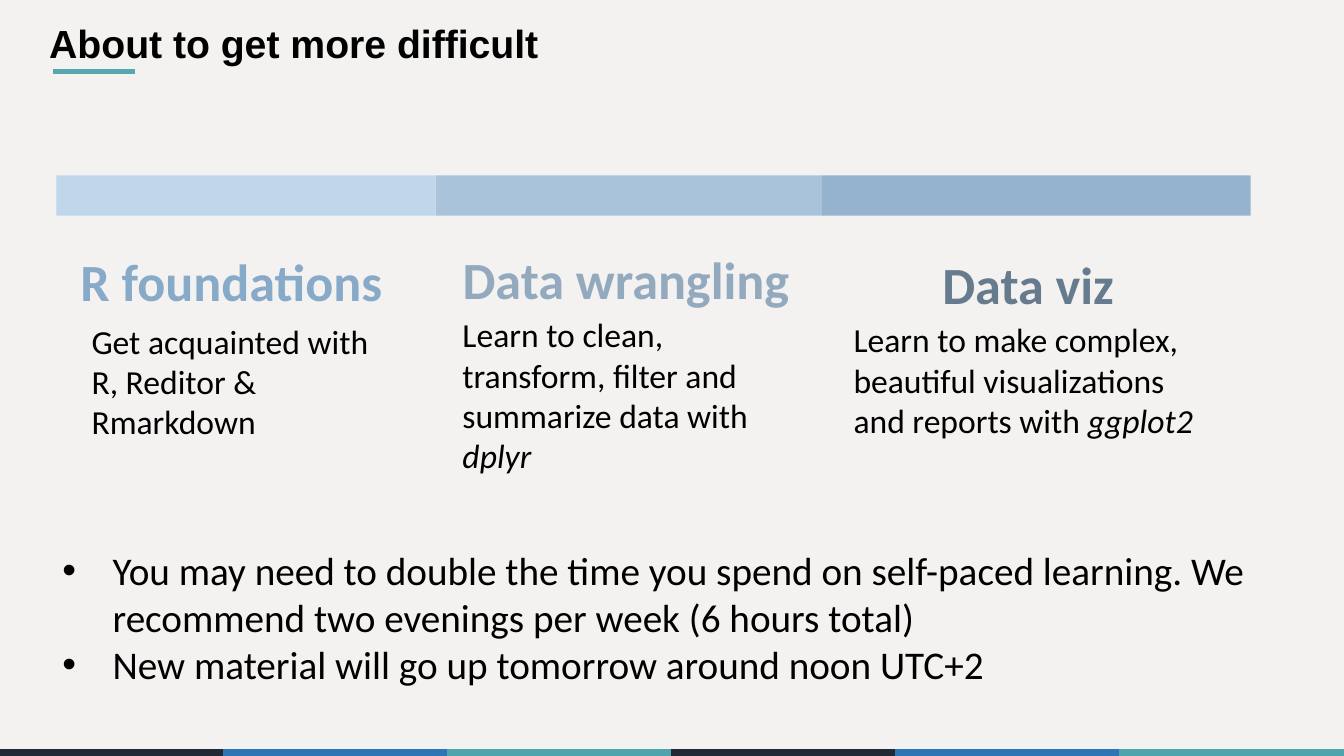
from lxml.etree import SubElement
from pptx import Presentation
from pptx.dml.color import RGBColor
from pptx.enum.shapes import MSO_CONNECTOR, MSO_SHAPE
from pptx.enum.text import MSO_AUTO_SIZE
from pptx.oxml.ns import qn
from pptx.util import Pt

BLACK = "000000"
BODY = {"name": "Calibri", "size": Pt(24)}
HEADING = {"name": "Calibri", "size": Pt(37.3), "bold": True}
TITLE = {"name": "Arial", "size": Pt(28), "bold": True}
ADVICE = {"name": "Calibri", "size": Pt(28)}

FOOTER_COLOURS = ["202934", "2E75B6", "4EA4AD"] * 2

BAR_SEGMENTS = [(271, "9DC3E6", 59), (276, "90B4D5", 75), (306, "88AAC9", 87)]

TOPICS = [
    {"name": "R foundations", "colour": "88AAC9",
     "name_box": (50.4, 174.2, 232.6, 52.6), "summary_box": (58.3, 225.4, 224.6, 94.3),
     "summary": "Get acquainted with R, Reditor & Rmarkdown", "package": ""},
    {"name": "Data wrangling", "colour": "93AABE",
     "name_box": (323.3, 172.8, 250.6, 52.6), "summary_box": (323.3, 221, 263.5, 123.8),
     "summary": "Learn to clean, transform, filter and summarize data with ", "package": "dplyr"},
    {"name": "Data viz", "colour": "677B8E",
     "name_box": (666, 176.4, 138.2, 52.6), "summary_box": (602.6, 224.6, 277.2, 94.3),
     "summary": "Learn to make complex, beautiful visualizations and reports with ",
     "package": "ggplot2"},
]

ADVICE_POINTS = [
    "You may need to double the time you spend on self-paced learning. "
    "We recommend two evenings per week (6 hours total)",
    "New material will go up tomorrow around noon UTC+2",
]


def rgb(hex_colour):
    """Turn a hex string into a colour."""
    return RGBColor.from_string(hex_colour)


def add_rule(slide, left, top, width, colour, weight):
    """Draw a horizontal line without a shadow."""
    rule = slide.shapes.add_connector(
        MSO_CONNECTOR.STRAIGHT, Pt(left), Pt(top), Pt(left + width), Pt(top))
    rule.line.color.rgb = rgb(colour)
    rule.line.width = Pt(weight)
    SubElement(rule._element.spPr, qn("a:effectLst"))


def add_run(paragraph, text, style, colour=BLACK):
    """Append a run of text in the given style."""
    run = paragraph.add_run()
    run.text = text
    run.font.color.rgb = rgb(colour)
    for attribute, value in style.items():
        setattr(run.font, attribute, value)


def add_text_frame(slide, box, wrap=True):
    """Place a text box and return its frame."""
    frame = slide.shapes.add_textbox(*map(Pt, box)).text_frame
    frame.word_wrap = wrap
    frame.auto_size = MSO_AUTO_SIZE.SHAPE_TO_FIT_TEXT
    return frame


def add_footer(slide, left, top, width):
    """Draw the coloured strip along the bottom edge."""
    step = width / len(FOOTER_COLOURS)
    for index, colour in enumerate(FOOTER_COLOURS):
        add_rule(slide, left + index * step, top, step + 0.7, colour, 6)


def add_title(slide, left, top, width, height):
    """Write the title with its short accent underneath."""
    add_rule(slide, left + 9.5, top + 41, 59, "57A7B1", 3)
    frame = add_text_frame(slide, (left, top, width, height), wrap=False)
    add_run(frame.paragraphs[0], "About to get more difficult", TITLE)


def add_progress_bar(slide, left, top, height):
    """Lay the translucent segments end to end."""
    for width, colour, opacity in BAR_SEGMENTS:
        segment = slide.shapes.add_shape(
            MSO_SHAPE.RECTANGLE, Pt(left), Pt(top), Pt(width), Pt(height))
        segment.shadow.inherit = False
        segment.line.fill.background()
        segment.fill.solid()
        segment.fill.fore_color.rgb = rgb(colour)
        tint = segment._element.spPr.find(qn("a:solidFill"))[0]
        SubElement(tint, qn("a:alpha"), val=str(opacity * 1000))
        left += width


def add_topic(slide, topic):
    """Write a topic heading and its summary."""
    heading = add_text_frame(slide, topic["name_box"], wrap=False)
    add_run(heading.paragraphs[0], topic["name"], HEADING, topic["colour"])
    summary = add_text_frame(slide, topic["summary_box"]).paragraphs[0]
    add_run(summary, topic["summary"], BODY)
    if topic["package"]:
        add_run(summary, topic["package"], {**BODY, "italic": True})


def add_advice(slide, box):
    """Write the bulleted advice."""
    frame = add_text_frame(slide, box)
    for index, point in enumerate(ADVICE_POINTS):
        paragraph = frame.add_paragraph() if index else frame.paragraphs[0]
        add_run(paragraph, point, ADVICE)
        properties = paragraph._p.get_or_add_pPr()
        properties.set("marL", str(Pt(36)))
        properties.set("indent", str(-Pt(36)))
        SubElement(properties, qn("a:buFont"), typeface="Arial")
        SubElement(properties, qn("a:buChar"), char="•")


def main():
    """Build and save the slide."""
    deck = Presentation()
    deck.slide_width, deck.slide_height = Pt(960), Pt(540)
    slide = deck.slides.add_slide(deck.slide_layouts[6])
    slide.background.fill.solid()
    slide.background.fill.fore_color.rgb = rgb("F4F2F0")
    add_footer(slide, -0.5, 537.8, 960)
    add_title(slide, 28.1, 10.1, 386.6, 41)
    add_progress_bar(slide, 40.3, 125.3, 28.8)
    for topic in TOPICS:
        add_topic(slide, topic)
    add_advice(slide, (37.4, 386.6, 906.5, 108.7))
    deck.save("out.pptx")


if __name__ == "__main__":
    main()
